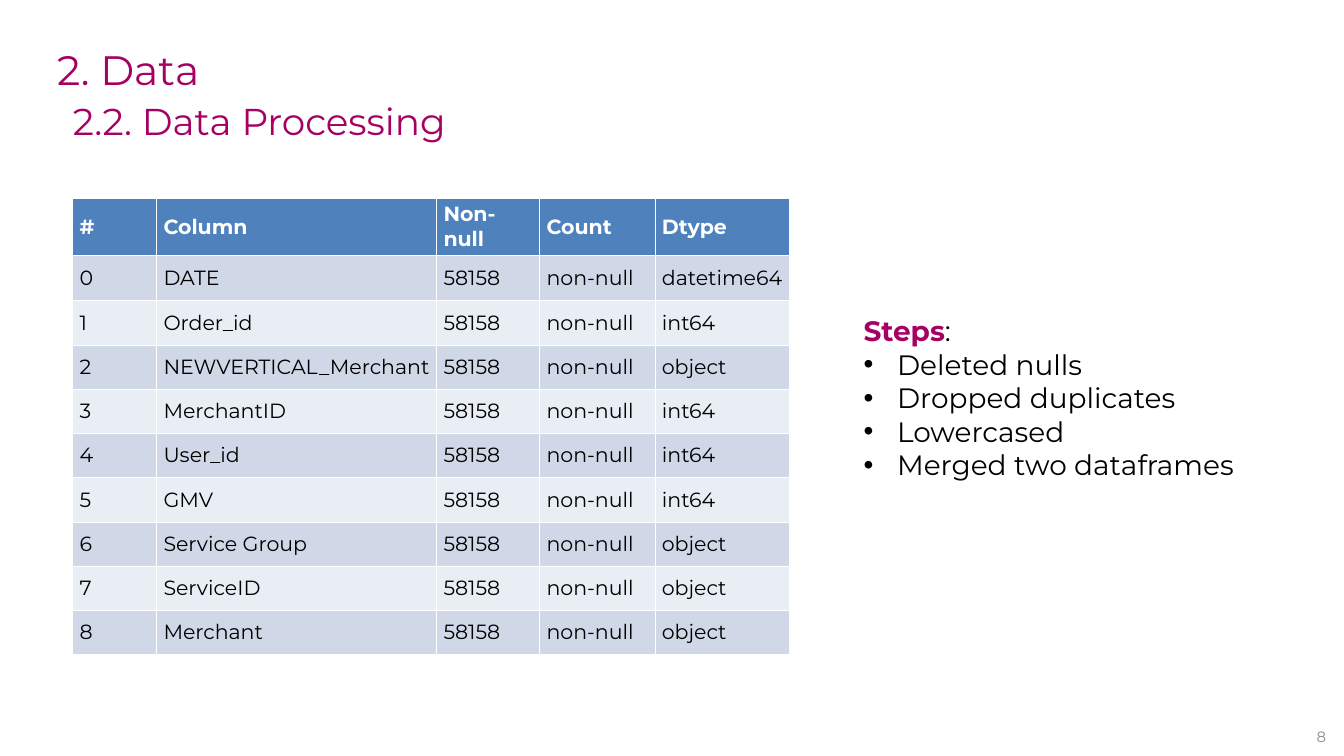
from lxml.etree import SubElement
from pptx import Presentation
from pptx.dml.color import RGBColor
from pptx.enum.text import MSO_ANCHOR, MSO_AUTO_SIZE, PP_ALIGN
from pptx.oxml.ns import qn
from pptx.util import Inches, Pt

FONT = "Montserrat"
MAGENTA = RGBColor(0xA6, 0x00, 0x62)
BLACK = RGBColor(0x00, 0x00, 0x00)
WHITE = RGBColor(0xFF, 0xFF, 0xFF)
GREY = RGBColor(0x8C, 0x8C, 0x8C)
HEADER_BLUE = RGBColor(0x4F, 0x81, 0xBD)
BAND_DARK = RGBColor(0xD0, 0xD8, 0xE8)
BAND_LIGHT = RGBColor(0xE9, 0xED, 0xF4)

GRID_COLUMNS, GRID_ROWS = 240, 135
UNIT = Inches(20) // GRID_COLUMNS

COLUMN_SPANS = [15, 50, 18.4, 20.6, 24]
HEADINGS = ["#", "Column", "Non-null", "Count", "Dtype"]
FIELDS = [
    ("DATE", "datetime64"),
    ("Order_id", "int64"),
    ("NEWVERTICAL_Merchant", "object"),
    ("MerchantID", "int64"),
    ("User_id", "int64"),
    ("GMV", "int64"),
    ("Service Group", "object"),
    ("ServiceID", "object"),
    ("Merchant", "object"),
]
STEPS = ["Deleted nulls", "Dropped duplicates", "Lowercased", "Merged two dataframes"]


def grid(*spans):
    """Convert grid spans to lengths."""
    return [round(span * UNIT) for span in spans]


def place(shape, box):
    """Move a shape to a box of the grid."""
    shape.left, shape.top, shape.width, shape.height = grid(*box)


def style(font, size, color, bold=False):
    """Set the typeface, size, colour and weight of a font."""
    font.name, font.size, font.bold = FONT, Pt(size), bold
    font.color.rgb = color


def add_heading(shape, box, text, size, leading, indent=0):
    """Write a magenta heading line into a shape without insets."""
    place(shape, box)
    frame = shape.text_frame
    frame.word_wrap = True
    frame.auto_size = MSO_AUTO_SIZE.NONE
    frame.vertical_anchor = MSO_ANCHOR.TOP
    frame.margin_left = grid(indent)[0]
    frame.margin_top = frame.margin_right = frame.margin_bottom = 0
    frame.text = text
    heading = frame.paragraphs[0]
    heading.alignment = PP_ALIGN.LEFT
    heading.line_spacing = Pt(leading)
    style(heading.font, size, MAGENTA)


def add_field_table(slide, box):
    """Build the banded table of dataframe columns."""
    records = [HEADINGS] + [
        [str(number), name, "58158", "non-null", dtype]
        for number, (name, dtype) in enumerate(FIELDS)
    ]
    table = slide.shapes.add_table(len(records), len(HEADINGS), *grid(*box)).table
    for column, width in zip(table.columns, grid(*COLUMN_SPANS)):
        column.width = width
    for index, (row, record) in enumerate(zip(table.rows, records)):
        row.height = grid(8.1 if index == 1 else 7.9)[0]
        is_header = index == 0
        band = BAND_DARK if index % 2 else BAND_LIGHT
        for cell, text in zip(row.cells, record):
            cell.text = text
            cell.vertical_anchor = MSO_ANCHOR.MIDDLE
            cell.fill.solid()
            cell.fill.fore_color.rgb = HEADER_BLUE if is_header else band
            style(cell.text_frame.paragraphs[0].font, 22,
                  WHITE if is_header else BLACK, is_header)


def set_bullet(paragraph, bullet):
    """Give a paragraph a hanging bullet, or none."""
    properties = paragraph._p.get_or_add_pPr()
    hang = Inches(0.5) if bullet else 0
    properties.set("marL", str(hang))
    properties.set("indent", str(-hang))
    if bullet:
        SubElement(properties, qn("a:buFont")).set("typeface", "Arial")
        SubElement(properties, qn("a:buChar")).set("char", bullet)
    else:
        SubElement(properties, qn("a:buNone"))


def add_steps(body, box):
    """Fill the body placeholder with the processing steps."""
    place(body, box)
    frame = body.text_frame
    frame.auto_size = MSO_AUTO_SIZE.NONE
    lead = frame.paragraphs[0]
    for text, color, bold in [("Steps", MAGENTA, True), (":", BLACK, False)]:
        run = lead.add_run()
        run.text = text
        style(run.font, 30, color, bold)
    lead.space_before = Pt(0)
    set_bullet(lead, None)
    for step in STEPS:
        item = frame.add_paragraph()
        item.text = step
        item.space_before = Pt(0)
        set_bullet(item, "•")
        style(item.font, 30, BLACK)


def add_page_number(slide, box, number):
    """Write the page number in the bottom right corner."""
    frame = slide.shapes.add_textbox(*grid(*box)).text_frame
    frame.word_wrap = True
    frame.vertical_anchor = MSO_ANCHOR.MIDDLE
    frame.text = number
    frame.paragraphs[0].alignment = PP_ALIGN.RIGHT
    style(frame.paragraphs[0].font, 16, GREY)


def main():
    """Build and save the data processing slide."""
    presentation = Presentation()
    presentation.slide_width, presentation.slide_height = grid(GRID_COLUMNS, GRID_ROWS)
    slide = presentation.slides.add_slide(presentation.slide_layouts[1])
    title, body = slide.placeholders
    add_field_table(slide, (13, 35.5, 128, 79.2))
    add_steps(body, (153, 55.4, 74, 31.5))
    subtitle_box = (13, 16, 69, 8.5)
    subtitle = slide.shapes.add_textbox(*grid(*subtitle_box))
    add_heading(subtitle, subtitle_box, "2.2. Data Processing", 40, 57.1)
    add_heading(title, (0, 0, 109, 14.5), "2. Data", 44, 100.8, indent=10.2)
    add_page_number(slide, (231, 129.5, 7, 4), "8")
    presentation.save("out.pptx")


if __name__ == "__main__":
    main()
